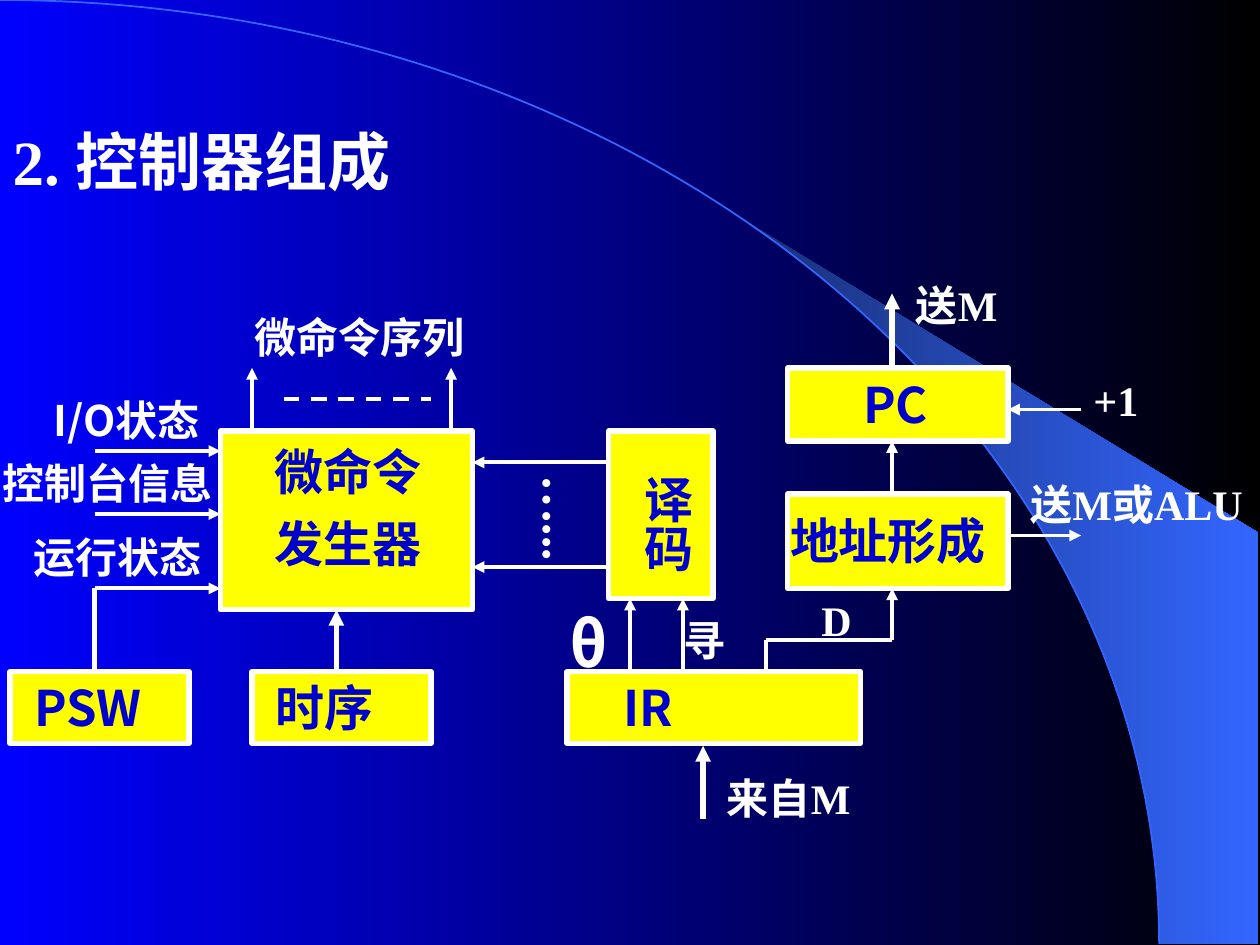
from math import asin, cos, pi, sin

from lxml.etree import SubElement
from pptx import Presentation
from pptx.dml.color import RGBColor
from pptx.enum.dml import MSO_LINE_DASH_STYLE as Dash
from pptx.enum.shapes import MSO_CONNECTOR as Conn, MSO_SHAPE as Shape
from pptx.enum.text import MSO_ANCHOR as Anchor, PP_ALIGN as Align
from pptx.oxml.ns import qn
from pptx.util import Inches, Pt

SERIF, SANS = "Times New Roman", "Noto Sans CJK SC"
WHITE, YELLOW, NAVY, SKY = "FFFFFF", "FFFF00", "0000CC", "3366FF"


def rgb(value):
    """Return the colour for a hex string."""
    return RGBColor.from_string(value)


def set_gradient(fill, colors):
    """Fill from left to right with two colours."""
    fill.gradient()
    fill.gradient_angle = 0
    for stop, color in zip(fill.gradient_stops, colors):
        stop.color.rgb = rgb(color)


def write(s, lines, size, font=SERIF, color=WHITE, margins=(0.1, 0.05, 0.1, 0.05),
          vertical=False, spacing=None, gap=0):
    """Write bold left-aligned lines at the top of a shape."""
    tf = s.text_frame
    left, top, right, bottom = map(Inches, margins)
    frame = dict(word_wrap=True, vertical_anchor=Anchor.TOP, margin_left=left,
                 margin_top=top, margin_right=right, margin_bottom=bottom)
    for name, value in frame.items():
        setattr(tf, name, value)
    if vertical:
        tf._txBody.bodyPr.set("vert", "eaVert")
    for i, line in enumerate(lines):
        p = tf.add_paragraph() if i else tf.paragraphs[0]
        layout = dict(alignment=Align.LEFT, line_spacing=spacing,
                      space_before=Pt(gap if i else 0))
        for name, value in layout.items():
            setattr(p, name, value)
        r = p.add_run()
        r.text = line
        r.font.color.rgb = rgb(color)
        for name, value in dict(size=Pt(size), name=font, bold=True).items():
            setattr(r.font, name, value)
        SubElement(r._r.get_or_add_rPr(), qn("a:ea"), typeface=SANS)


def add_label(slide, box, text, size=24, **style):
    """Add a text box with one line of text."""
    write(slide.shapes.add_textbox(*map(Inches, box)), [text], size, **style)


def add_block(slide, box, lines, **style):
    """Add a yellow block with a white border and blue text."""
    s = slide.shapes.add_shape(Shape.RECTANGLE, *map(Inches, box))
    s.shadow.inherit = False
    s.fill.solid()
    s.fill.fore_color.rgb = rgb(YELLOW)
    s.line.color.rgb = rgb(WHITE)
    s.line.width = Pt(3)
    write(s, lines, 28, color=NAVY, **style)


def add_line(slide, x1, y1, x2, y2, width=2.25, arrow=True, dash=None):
    """Add a white line with an optional arrowhead at its end."""
    c = slide.shapes.add_connector(Conn.STRAIGHT, *map(Inches, (x1, y1, x2, y2)))
    c.line.color.rgb = rgb(WHITE)
    c.line.width = Pt(width)
    if dash:
        c.line.dash_style = dash
    if arrow:
        SubElement(c.line._ln, qn("a:tailEnd"), type="triangle")
    SubElement(c._element.spPr, qn("a:effectLst"))


def add_outline(slide, points, close):
    """Add a freeform through points given in inches."""
    start, *rest = [tuple(map(Inches, pt)) for pt in points]
    builder = slide.shapes.build_freeform(*start, scale=1.0)
    builder.add_line_segments(rest, close=close)
    s = builder.convert_to_shape()
    s.shadow.inherit = False
    return s


def add_backdrop(slide, width, height):
    """Draw the gradient, the quarter ellipse and the crescent beside it."""
    set_gradient(slide.background.fill, ("0000FF", "000000"))
    rx, ry, tip = width - 0.8, height - 0.01, 5.89

    def arc(start, steps):
        angles = [start + (pi / 2 - start) * i / steps for i in range(steps + 1)]
        return [(rx * sin(a), ry * (1 - cos(a))) for a in angles]

    edge = width - 0.01
    crescent = add_outline(slide, arc(asin(tip / rx), 24) + [(edge, ry), (edge, 4.23)], True)
    set_gradient(crescent.fill, ("182F76", SKY))
    crescent.line.fill.background()
    curve = add_outline(slide, arc(0, 90), False)
    curve.fill.background()
    curve.line.color.rgb = rgb(SKY)
    curve.line.width = Pt(1)


def add_title(slide, box):
    """Place and format the title placeholder."""
    s = slide.shapes.title
    for name, value in zip(("left", "top", "width", "height"), map(Inches, box)):
        setattr(s, name, value)
    write(s, ["2. 控制器组成"], 36)


def add_generator(slide, box):
    """Draw the micro-command generator, its outputs and its timing source."""
    x, y, w, h = box
    add_block(slide, box, ["微命令", "发生器"], margins=(0.43, 0.21, 0.1, 0.05),
              spacing=0.7, gap=17.5)
    for dx in (0.25, 1.83):
        add_line(slide, x + dx, y, x + dx, y - 0.5)
    add_line(slide, x + 0.5, y - 0.25, x + 1.67, y - 0.25, arrow=False, dash=Dash.DASH)
    add_label(slide, (x + 0.17, y - 1, 1.92, 0.5), "微命令序列")
    add_block(slide, (x + 0.25, y + 1.91, 1.42, 0.57), ["时序"], font=SANS,
              margins=(0.19, 0.05, 0.1, 0.05))
    add_line(slide, x + 0.92, y + 1.91, x + 0.92, y + h, width=3)


def add_status(slide, box):
    """Draw the three status inputs and the PSW block that feeds the last."""
    x, y, w, h = box
    inputs = [("I/O状态", 0.25, 0.5, SANS), ("控制台信息", -0.16, 1, SERIF),
              ("运行状态", 0.09, 1.59, SERIF)]
    for text, dx, dy, font in inputs:
        add_line(slide, x + 0.67, y + dy, x + w, y + dy)
        add_label(slide, (x + dx, y + dy - 0.5, 1.92, 0.5), text, font=font)
    add_line(slide, x + 0.67, y + 1.59, x + 0.67, y + 2.25, width=3, arrow=False)
    add_block(slide, (x, y + 2.25, 1.42, 0.57), ["PSW"], font=SANS,
              margins=(0.19, 0.05, 0.1, 0.05))


def add_decoder(slide, box):
    """Draw the decoder and the lines to the generator."""
    x, y, w, h = box
    add_block(slide, box, ["译码"], vertical=True, margins=(0.14, 0.35, 0.13, 0))
    for dy in (0.25, 1.08):
        add_line(slide, x, y + dy, x - 1.08, y + dy)
    add_label(slide, (x - 0.74, y + 0.25, 0.66, 1.08), "…...", size=28, vertical=True,
              margins=(0.05, 0.1, 0.05, 0.1))


def add_instruction_register(slide, box):
    """Draw the IR block with its input and its fields."""
    x, y, w, h = box
    add_block(slide, box, ["IR"], font=SANS, margins=(0.45, 0.05, 0.1, 0.05))
    for dx in (0.5, 0.92):
        add_line(slide, x + dx, y, x + dx, y - 0.58)
    add_label(slide, (x - 0.08, y - 0.58, 1.25, 0.7), "θ", size=36, font=SANS)
    add_label(slide, (x + 0.83, y - 0.5, 1.08, 0.5), "寻")
    add_line(slide, x + 1.58, y, x + 1.58, y - 0.25, arrow=False)
    add_line(slide, x + 1.58, y - 0.25, x + 2.58, y - 0.25, arrow=False)
    add_line(slide, x + 2.58, y - 0.25, x + 2.58, y - 0.66)
    add_label(slide, (x + 1.92, y - 0.66, 1.08, 0.5), "D")
    add_line(slide, x + 1.08, y + 1.17, x + 1.08, y + 0.59, width=3)
    add_label(slide, (x + 1.17, y + 0.75, 1.92, 0.5), "来自M")


def add_address_path(slide, box):
    """Draw the program counter above the address former."""
    x, y, w, h = box
    mid, right = x + 0.83, x + w
    add_block(slide, (x, y, w, 0.58), ["PC"], font=SANS, margins=(0.6, 0.05, 0.1, 0.05))
    add_block(slide, (x, y + 1, w, h - 1), ["地址形成"], margins=(0.02, 0.13, 0, 0.05))
    add_line(slide, mid, y + 1, mid, y + 0.58)
    add_line(slide, mid, y, mid, y - 0.59, width=3)
    add_line(slide, right + 0.58, y + 0.33, right, y + 0.33)
    add_line(slide, right, y + 1.33, right + 0.58, y + 1.33)
    add_label(slide, (x + 0.92, y - 0.75, 1.08, 0.5), "送M")
    add_label(slide, (right + 0.58, y, 1.08, 0.5), "+1")
    add_label(slide, (right + 0.08, y + 0.83, 1.92, 0.9), "送M或ALU")


def main():
    """Build the slide and save it."""
    prs = Presentation()
    prs.slide_width, prs.slide_height = Inches(10), Inches(7.5)
    slide = prs.slides.add_slide(prs.slide_layouts[5])
    add_backdrop(slide, 10, 7.5)
    add_title(slide, (0, 0.92, 5.67, 0.7))
    add_generator(slide, (1.75, 3.42, 2, 1.42))
    add_status(slide, (0.08, 3.08, 1.67, 2.82))
    add_decoder(slide, (4.83, 3.42, 0.83, 1.33))
    add_instruction_register(slide, (4.5, 5.33, 2.33, 0.57))
    add_address_path(slide, (6.25, 2.92, 1.75, 1.75))
    prs.save("out.pptx")


if __name__ == "__main__":
    main()
